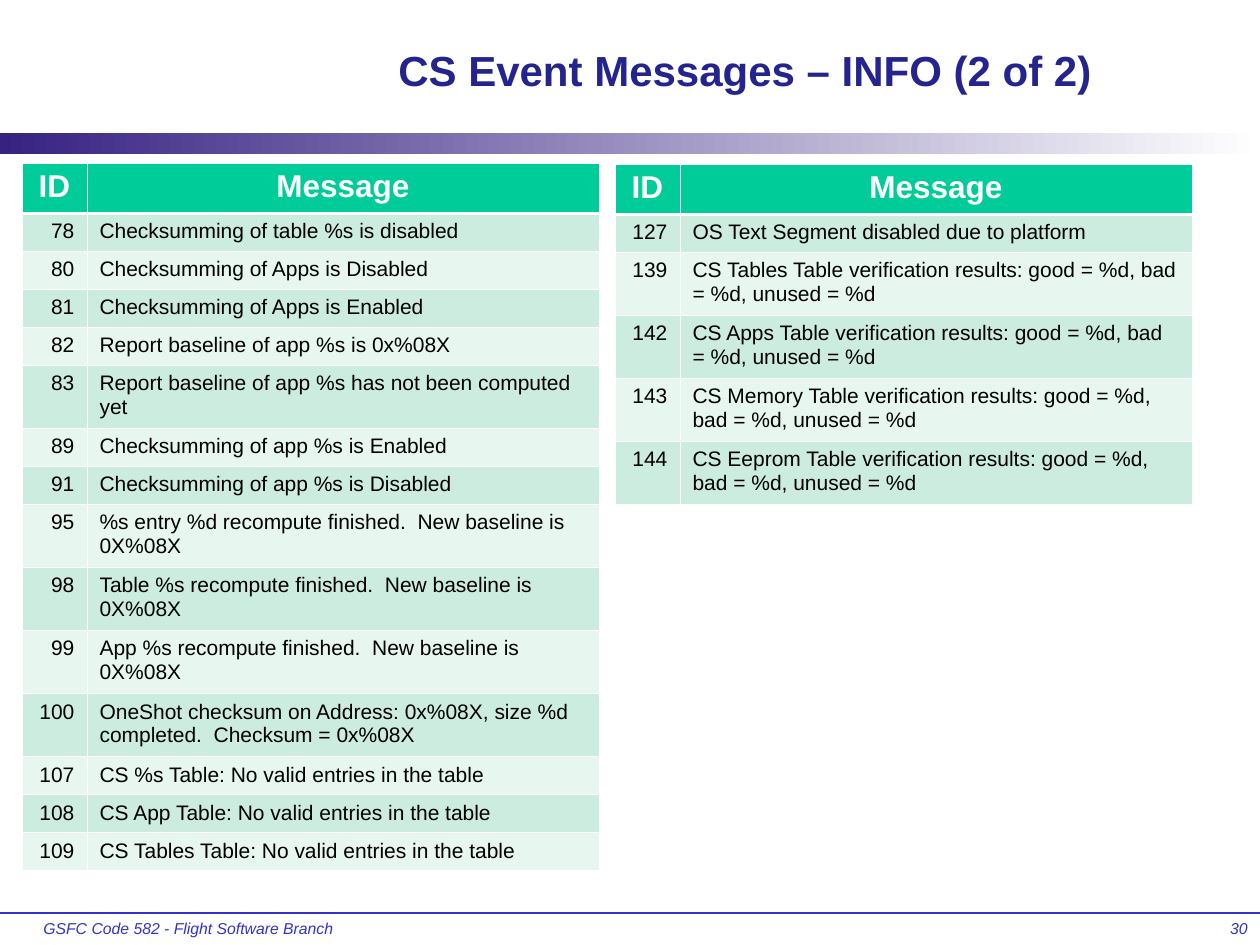
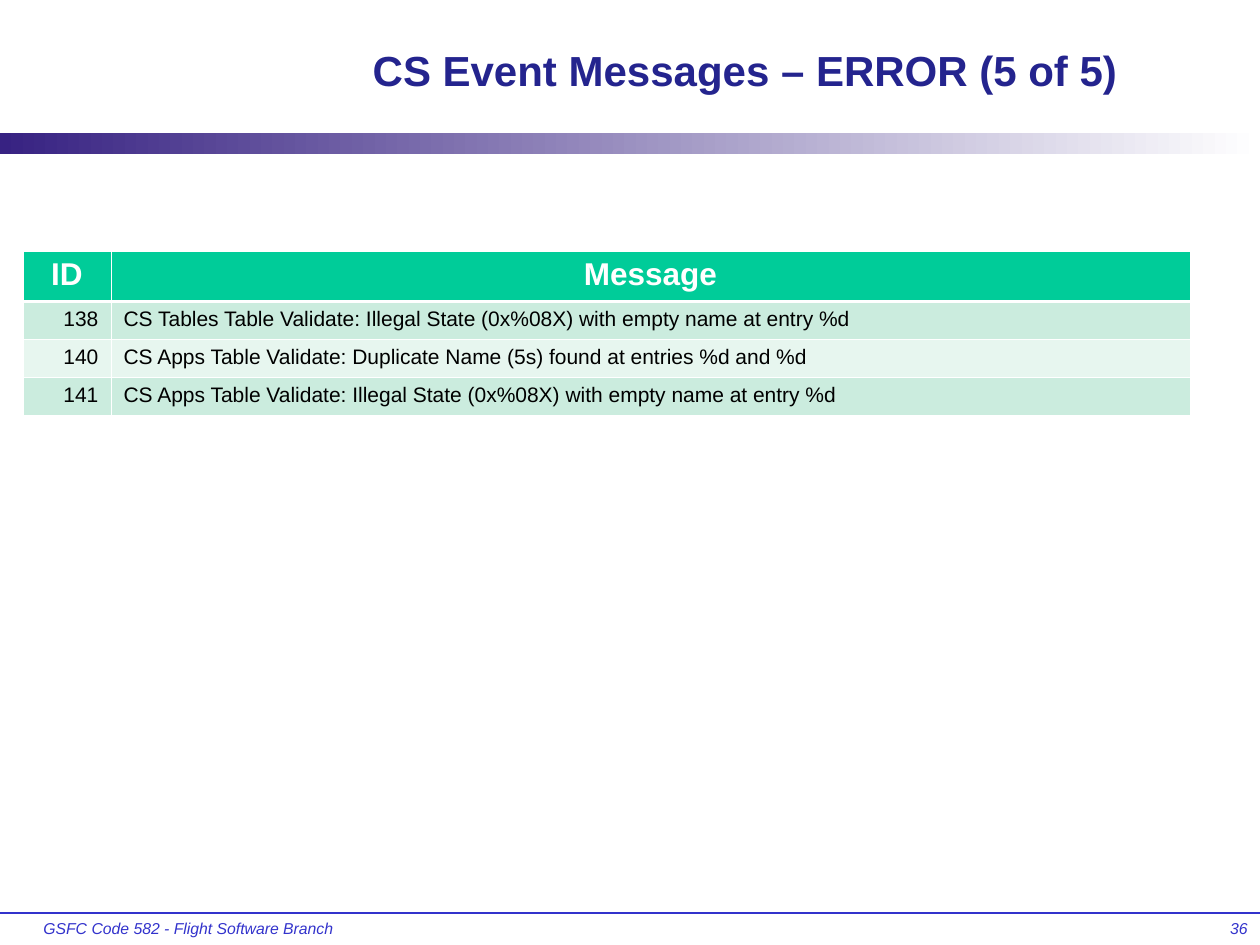
from lxml.etree import SubElement
from pptx import Presentation
from pptx.dml.color import RGBColor
from pptx.enum.shapes import MSO_CONNECTOR, MSO_SHAPE
from pptx.enum.text import MSO_ANCHOR, MSO_AUTO_SIZE, PP_ALIGN
from pptx.oxml.ns import qn
from pptx.util import Pt

PX = 914400 // 126  # EMU in one px
SLIDE_WIDTH, SLIDE_HEIGHT = 1260, 945

FONT = "Arial"
COLORS = {
    "title": "24248E",
    "footer": "3333CC",
    "band_start": "372282",
    "white": "FFFFFF",
    "text": "000000",
    "header": "00CC99",
    "odd_row": "CBECDE",
    "even_row": "E7F6EF",
}

# Content
FOOTER = "GSFC Code 582 - Flight Software Branch"
HEADINGS = ("ID", "Message")

INFO_LEFT = [
    (78, "Checksumming of table %s is disabled"),
    (80, "Checksumming of Apps is Disabled"),
    (81, "Checksumming of Apps is Enabled"),
    (82, "Report baseline of app %s is 0x%08X"),
    (83, "Report baseline of app %s has not been computed yet"),
    (89, "Checksumming of app %s is Enabled"),
    (91, "Checksumming of app %s is Disabled"),
    (95, "%s entry %d recompute finished.  New baseline is 0X%08X"),
    (98, "Table %s recompute finished.  New baseline is 0X%08X"),
    (99, "App %s recompute finished.  New baseline is 0X%08X"),
    (100, "OneShot checksum on Address: 0x%08X, size %d completed.  Checksum = 0x%08X"),
    (107, "CS %s Table: No valid entries in the table"),
    (108, "CS App Table: No valid entries in the table"),
    (109, "CS Tables Table: No valid entries in the table"),
]
INFO_RIGHT = [
    (127, "OS Text Segment disabled due to platform"),
    (139, "CS Tables Table verification results: good = %d, bad = %d, unused = %d"),
    (142, "CS Apps Table verification results: good = %d, bad = %d, unused = %d"),
    (143, "CS Memory Table verification results: good = %d, bad = %d, unused = %d"),
    (144, "CS Eeprom Table verification results: good = %d, bad = %d, unused = %d"),
]
ERRORS = [
    (138, "CS Tables Table Validate: Illegal State (0x%08X) with empty name at entry %d"),
    (140, "CS Apps Table Validate: Duplicate Name (5s) found at entries %d and %d"),
    (141, "CS Apps Table Validate: Illegal State (0x%08X) with empty name at entry %d"),
]

# Each table: left, top, column widths, messages
SLIDES = [
    {
        "title": "CS Event Messages – INFO (2 of 2)",
        "number": 30,
        "tables": [
            (22, 163, (65, 512), INFO_LEFT),
            (615, 164, (65, 512), INFO_RIGHT),
        ],
    },
    {
        "title": "CS Event Messages – ERROR (5 of 5)",
        "number": 36,
        "tables": [(23, 251, (88, 1079), ERRORS)],
    },
]

# Table rules
HEADER_HEIGHT, ONE_LINE, TWO_LINES = 50, 38, 63
CHARACTER_WIDTH = 11
THIN, THICK = 0.45, 1.47


def color(name):
    return RGBColor.from_string(COLORS[name])


def px(*lengths):
    return [length * PX for length in lengths]


def format_paragraph(paragraph, size, color_name, align, bold=False, italic=False):
    paragraph.alignment = align
    font = paragraph.font
    font.name, font.size = FONT, Pt(size)
    font.bold, font.italic = bold, italic
    font.color.rgb = color(color_name)


def add_title(slide, text):
    title = slide.shapes.title
    title.left, title.top, title.width, title.height = px(262, 22, 966, 96)
    frame = title.text_frame
    frame.text = text
    frame.auto_size = MSO_AUTO_SIZE.NONE
    frame.vertical_anchor = MSO_ANCHOR.MIDDLE
    format_paragraph(frame.paragraphs[0], 24, "title", PP_ALIGN.CENTER, bold=True)


def add_band(slide):
    band = slide.shapes.add_shape(MSO_SHAPE.RECTANGLE, *px(0, 133, SLIDE_WIDTH, 21))
    band.shadow.inherit = False
    band.line.fill.background()
    band.fill.gradient()
    band.fill.gradient_angle = 0
    for stop, name in zip(band.fill.gradient_stops, ("band_start", "white")):
        stop.color.rgb = color(name)


def add_footer(slide, number):
    top = 913
    rule = slide.shapes.add_connector(
        MSO_CONNECTOR.STRAIGHT, *px(0, top, SLIDE_WIDTH, top))
    rule.line.color.rgb = color("footer")
    rule.line.width = Pt(0.75)
    SubElement(rule.element.spPr, qn("a:effectLst"))

    for text, left, width, align in (
        (FOOTER, 31, 330, PP_ALIGN.LEFT),
        (str(number), 998, 262, PP_ALIGN.RIGHT),
    ):
        frame = slide.shapes.add_textbox(*px(left, top, width, 32)).text_frame
        frame.word_wrap = True
        frame.text = text
        format_paragraph(frame.paragraphs[0], 9, "footer", align, italic=True)


def set_borders(cell, top, bottom):
    properties = cell._tc.get_or_add_tcPr()
    sides = (("L", THIN), ("R", THIN), ("T", top), ("B", bottom))
    for side, width in sides:
        line = SubElement(properties, qn(f"a:ln{side}"), w=str(int(Pt(width))))
        fill = SubElement(line, qn("a:solidFill"))
        SubElement(fill, qn("a:srgbClr"), val=COLORS["white"])


def add_message_table(slide, left, top, widths, messages):
    line_capacity = widths[1] // CHARACTER_WIDTH
    heights = [HEADER_HEIGHT] + [
        TWO_LINES if len(message) > line_capacity else ONE_LINE
        for _, message in messages
    ]
    rows = [HEADINGS, *messages]
    table = slide.shapes.add_table(
        len(rows), len(widths), *px(left, top, sum(widths), sum(heights))).table
    for column, width in zip(table.columns, widths):
        column.width = width * PX

    for index, (values, height) in enumerate(zip(rows, heights)):
        table.rows[index].height = height * PX
        is_header = index == 0
        fill_name = "header" if is_header else "odd_row" if index % 2 else "even_row"
        for cell, value, align in zip(
            table.rows[index].cells, values, (PP_ALIGN.RIGHT, PP_ALIGN.LEFT)
        ):
            set_borders(cell, THICK if index == 1 else THIN, THICK if is_header else THIN)
            cell.fill.solid()
            cell.fill.fore_color.rgb = color(fill_name)
            cell.text = str(value)
            paragraph = cell.text_frame.paragraphs[0]
            if is_header:
                format_paragraph(paragraph, 18, "white", PP_ALIGN.CENTER, bold=True)
            else:
                format_paragraph(paragraph, 12, "text", align)


def main():
    presentation = Presentation()
    presentation.slide_width, presentation.slide_height = px(SLIDE_WIDTH, SLIDE_HEIGHT)
    title_only = presentation.slide_layouts[5]
    for content in SLIDES:
        slide = presentation.slides.add_slide(title_only)
        add_band(slide)
        add_footer(slide, content["number"])
        add_title(slide, content["title"])
        for table in content["tables"]:
            add_message_table(slide, *table)
    presentation.save("out.pptx")


if __name__ == "__main__":
    main()
